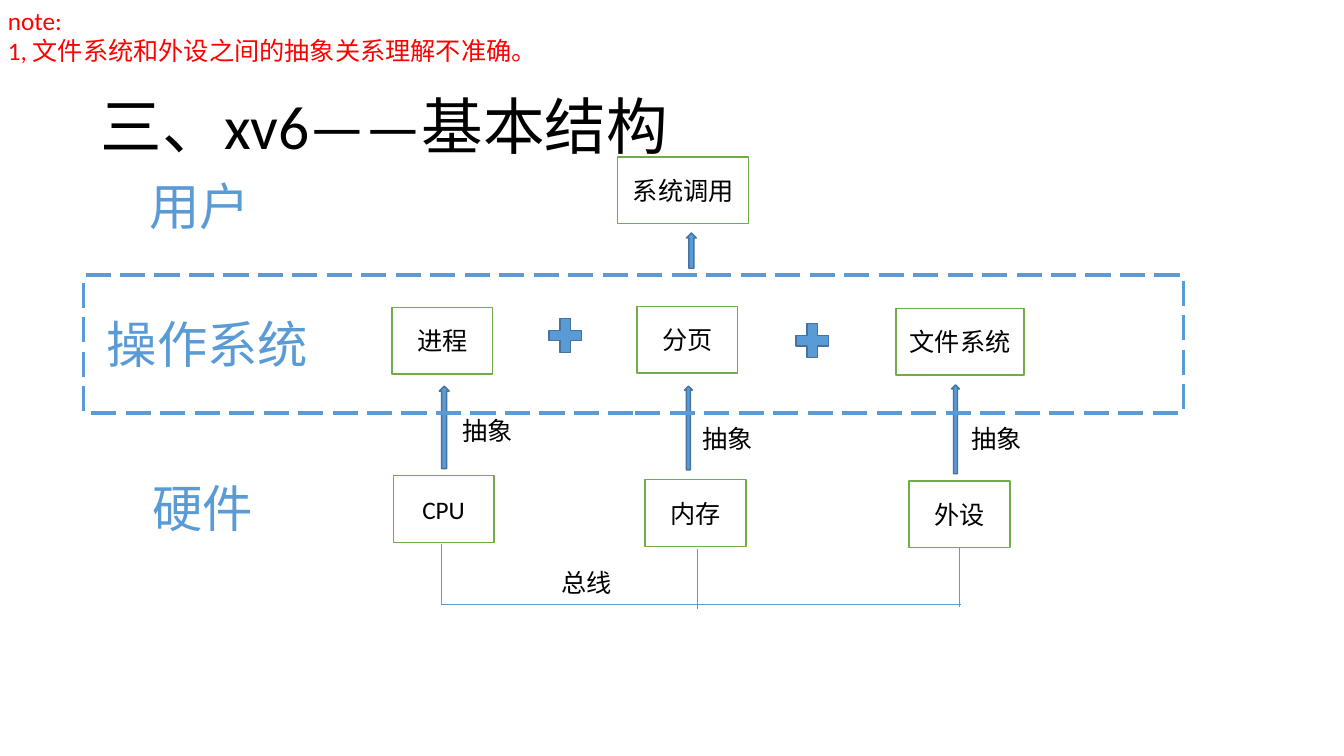
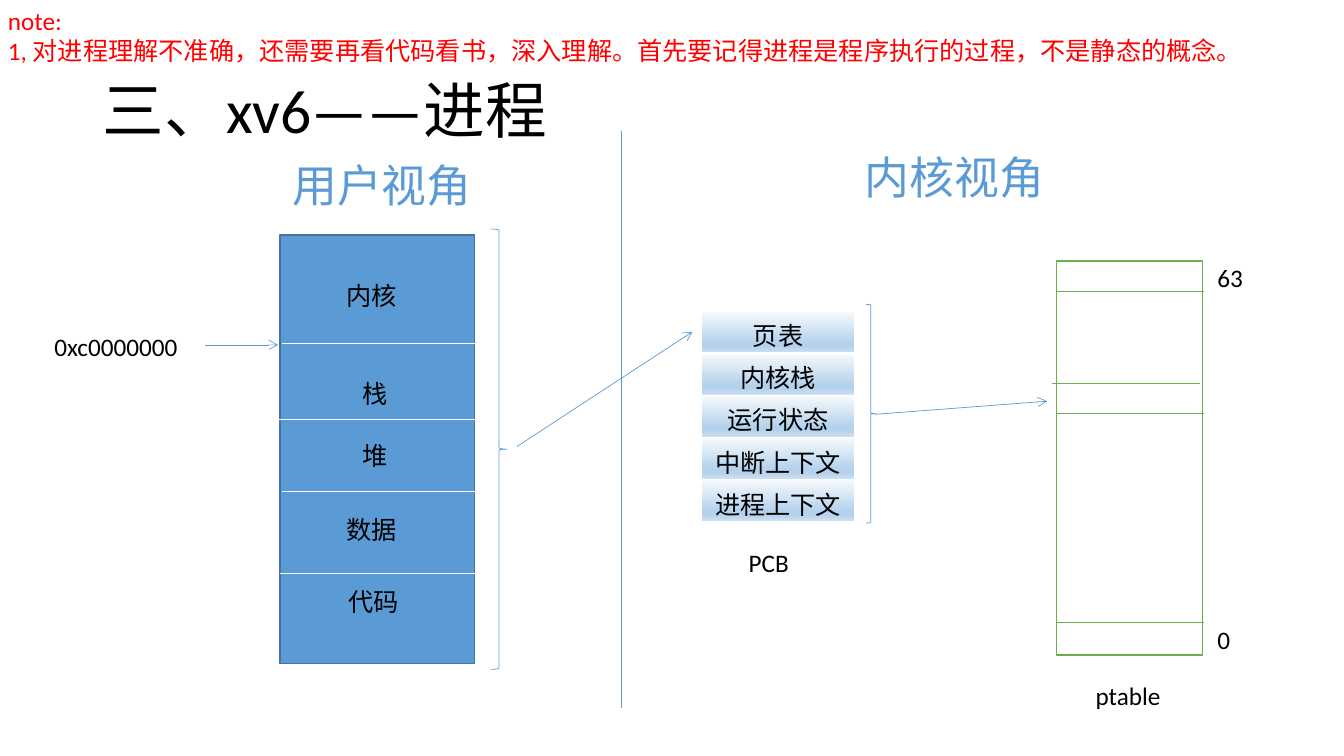
from dataclasses import dataclass

from lxml import etree
from pptx import Presentation
from pptx.dml.color import RGBColor
from pptx.enum.dml import MSO_LINE
from pptx.enum.shapes import MSO_CONNECTOR, MSO_SHAPE
from pptx.enum.text import MSO_ANCHOR, MSO_AUTO_SIZE, PP_ALIGN
from pptx.oxml.ns import qn
from pptx.presentation import Presentation as Deck
from pptx.shapes.autoshape import Shape
from pptx.slide import Slide
from pptx.table import _Cell as Cell
from pptx.text.text import TextFrame
from pptx.util import Cm, Pt

RECT, UP, PLUS, BRACE = (MSO_SHAPE.RECTANGLE, MSO_SHAPE.UP_ARROW,
                         MSO_SHAPE.MATH_PLUS, MSO_SHAPE.RIGHT_BRACE)
STRAIGHT = MSO_CONNECTOR.STRAIGHT
LEFT, CENTER = PP_ALIGN.LEFT, PP_ALIGN.CENTER
MIDDLE, TOP = MSO_ANCHOR.MIDDLE, MSO_ANCHOR.TOP
FIT, FIXED = MSO_AUTO_SIZE.SHAPE_TO_FIT_TEXT, MSO_AUTO_SIZE.NONE
DASH = MSO_LINE.LONG_DASH
TITLE_ONLY = 5


@dataclass(frozen=True)
class Theme:
    font: str = "Calibri"
    black: str = "000000"
    white: str = "FFFFFF"
    red: str = "FF0000"
    blue: str = "5B9BD5"
    navy: str = "43739E"
    green: str = "70AD47"
    fade: tuple[tuple[int, str], ...] = (
        (0, "F7FAFD"), (74, "B5D2EC"), (83, "B5D2EC"), (100, "CEE1F2"))
    title: int = 44
    layer: int = 36
    view: int = 32
    body: int = 18
    thin: float = 0.5
    edge: float = 1
    thick: float = 2.25


@dataclass(frozen=True)
class Area:
    """A place on the slide in centimetres."""
    x: float
    y: float
    w: float
    h: float

    def lengths(self) -> tuple[Cm, Cm, Cm, Cm]:
        return Cm(self.x), Cm(self.y), Cm(self.w), Cm(self.h)


@dataclass(frozen=True)
class Label:
    text: str
    area: Area


@dataclass(frozen=True)
class Link:
    """A line between two points in centimetres."""
    x1: float
    y1: float
    x2: float
    y2: float
    head: bool = False


THEME = Theme()


def rgb(color: str) -> RGBColor:
    return RGBColor.from_string(color)


def put_text(frame: TextFrame, lines: list[str], size: int, color: str,
             align: PP_ALIGN = CENTER, space: float | None = None) -> None:
    for i, line in enumerate(lines):
        para = frame.add_paragraph() if i else frame.paragraphs[0]
        para.alignment = align
        para.line_spacing = space
        run = para.add_run()
        run.text = line
        run.font.name = THEME.font
        run.font.size = Pt(size)
        run.font.color.rgb = rgb(color)


def add_text(slide: Slide, lines: list[str], area: Area, size: int = THEME.body,
             color: str = THEME.black, align: PP_ALIGN = LEFT, wrap: bool = False) -> None:
    frame = slide.shapes.add_textbox(*area.lengths()).text_frame
    frame.word_wrap = wrap
    frame.auto_size = FIT
    put_text(frame, lines, size, color, align)


def add_labels(slide: Slide, labels: list[Label]) -> None:
    for label in labels:
        add_text(slide, [label.text], label.area)


def add_form(slide: Slide, kind: MSO_SHAPE, area: Area, fill: str | None,
             line: str, width: float = THEME.edge) -> Shape:
    form = slide.shapes.add_shape(kind, *area.lengths())
    form.shadow.inherit = False
    if fill:
        form.fill.solid()
        form.fill.fore_color.rgb = rgb(fill)
    else:
        form.fill.background()
    form.line.color.rgb = rgb(line)
    form.line.width = Pt(width)
    return form


def add_box(slide: Slide, label: Label) -> None:
    box = add_form(slide, RECT, label.area, THEME.white, THEME.green)
    box.text_frame.vertical_anchor = MIDDLE
    put_text(box.text_frame, [label.text], THEME.body, THEME.black)


def add_links(slide: Slide, links: list[Link], color: str = THEME.blue) -> None:
    for link in links:
        line = slide.shapes.add_connector(
            STRAIGHT, Cm(link.x1), Cm(link.y1), Cm(link.x2), Cm(link.y2))
        line.line.color.rgb = rgb(color)
        line.line.width = Pt(THEME.thin)
        props = line.element.spPr
        if link.head:
            etree.SubElement(props.find(qn("a:ln")), qn("a:tailEnd"), type="arrow")
        etree.SubElement(props, qn("a:effectLst"))


def paint_cell(cell: Cell, first: bool) -> None:
    """Give a cell white borders and a downward fade."""
    props = cell._tc.get_or_add_tcPr()
    for side in ("L", "R", "T", "B"):
        width = Pt(3 if first and side == "B" else THEME.edge)
        line = etree.SubElement(props, qn(f"a:ln{side}"), w=str(width))
        fill = etree.SubElement(line, qn("a:solidFill"))
        etree.SubElement(fill, qn("a:srgbClr"), val=THEME.white)
    fade = etree.SubElement(props, qn("a:gradFill"), rotWithShape="1")
    stops = etree.SubElement(fade, qn("a:gsLst"))
    for part, color in THEME.fade:
        stop = etree.SubElement(stops, qn("a:gs"), pos=str(part * 1000))
        etree.SubElement(stop, qn("a:srgbClr"), val=color)
    etree.SubElement(fade, qn("a:lin"), ang="5400000", scaled="0")


def add_grid(slide: Slide, rows: list[str], area: Area) -> None:
    grid = slide.shapes.add_table(len(rows), 1, *area.lengths()).table
    grid.first_row = grid.horz_banding = False
    for i, text in enumerate(rows):
        grid.rows[i].height = Cm(area.h / len(rows))
        cell = grid.cell(i, 0)
        cell.vertical_anchor = TOP
        paint_cell(cell, i == 0)
        put_text(cell.text_frame, [text], THEME.body, THEME.black)


def new_slide(deck: Deck, title: str, area: Area, note: str, width: float) -> Slide:
    """Add a slide with its title and the red note at the top."""
    slide = deck.slides.add_slide(deck.slide_layouts[TITLE_ONLY])
    head = slide.shapes.title
    head.left, head.top, head.width, head.height = area.lengths()
    frame = head.text_frame
    frame.auto_size = FIXED
    frame.vertical_anchor = MIDDLE
    put_text(frame, [title], THEME.title, THEME.black, LEFT, 0.9)
    add_text(slide, ["note:", note], Area(-0.05, 0, width, 1.83), color=THEME.red)
    return slide


def draw_layers(deck: Deck) -> None:
    slide = new_slide(deck, "三、xv6——基本结构", Area(2.29, 1.83, 29.21, 2.87),
                      "1, 文件系统和外设之间的抽象关系理解不准确。", 14.05)
    bus = 15.24
    add_links(slide, [
        Link(11.13, bus, 24.23, bus), Link(11.13, bus, 11.13, 13.72),
        Link(17.58, 15.34, 17.58, 13.84), Link(24.18, 15.29, 24.18, 13.79)])
    for text, x, y, w in (
            ("CPU", 9.91, 11.99, 2.54), ("内存", 16.26, 12.09, 2.54),
            ("外设", 22.91, 12.12, 2.54), ("进程", 9.88, 7.75, 2.54),
            ("分页", 16.05, 7.72, 2.54), ("文件系统", 22.58, 7.77, 3.23),
            ("系统调用", 15.57, 3.96, 3.3)):
        add_box(slide, Label(text, Area(x, y, w, 1.68)))
    for area in (Area(11.07, 9.73, 0.25, 2.08), Area(17.25, 9.73, 0.2, 2.11),
                 Area(23.98, 9.7, 0.2, 2.24), Area(17.3, 5.87, 0.25, 0.89)):
        add_form(slide, UP, area, THEME.blue, THEME.navy)
    for x, y in ((13.69, 7.87), (19.91, 8)):
        add_form(slide, PLUS, Area(x, y, 1.12, 1.17), THEME.blue, THEME.navy)
    for text, x, y in (("用户", 1.04, 4.29), ("操作系统", 1.24, 7.77),
                       ("硬件", 1.12, 11.89)):
        add_text(slide, [text], Area(x, y, 7.98, 1.78), THEME.layer, THEME.blue,
                 CENTER, wrap=True)
    add_labels(slide, [Label(text, Area(x, y, 1.78, 1.02)) for text, x, y in (
        ("总线", 13.89, 14.17), ("抽象", 11.4, 10.34),
        ("抽象", 17.45, 10.54), ("抽象", 24.23, 10.54))])
    frame = add_form(slide, RECT, Area(2.11, 6.93, 27.71, 3.48), None,
                     THEME.blue, THEME.thick)
    frame.line.dash_style = DASH


def draw_process(deck: Deck) -> None:
    slide = new_slide(
        deck, "三、xv6——进程", Area(2.34, 1.02, 29.21, 3.68),
        "1, 对进程理解不准确，还需要再看代码看书，深入理解。"
        "首先要记得进程是程序执行的过程，不是静态的概念。", 31.83)
    for text, x, y in (("用户视角", 7.11, 3.86), ("内核视角", 21.54, 3.66)):
        add_text(slide, [text], Area(x, y, 5.03, 1.6), THEME.view, THEME.blue, CENTER)

    add_form(slide, RECT, Area(7.06, 5.92, 4.9, 10.8), THEME.blue, THEME.navy)
    add_links(slide, [Link(x, y, x + 4.95, y) for x, y in (
        (7.11, 8.64), (7.01, 10.57), (7.11, 12.37), (7.06, 14.45))], THEME.white)
    add_labels(slide, [Label(text, Area(x, y, w, 1.02)) for text, x, y, w in (
        ("内核", 8.48, 6.93, 1.78), ("栈", 8.89, 9.4, 1.14),
        ("堆", 8.89, 10.97, 1.14), ("数据", 8.48, 12.83, 1.78),
        ("代码", 8.53, 14.66, 1.78))])

    add_grid(slide, ["页表", "内核栈", "运行状态", "中断上下文", "进程上下文"],
             Area(17.68, 7.85, 3.86, 5.3))
    for area in (Area(12.37, 5.77, 0.41, 11.1), Area(21.82, 7.67, 0.25, 5.51)):
        add_form(slide, BRACE, area, None, THEME.blue, THEME.thin)

    add_form(slide, RECT, Area(26.62, 6.58, 3.68, 9.93), THEME.white, THEME.green)
    add_links(slide, [Link(x, y, x + 3.73, y) for x, y in (
        (26.62, 7.34), (26.52, 9.65), (26.62, 10.41), (26.62, 15.67))], THEME.green)
    add_links(slide, [
        Link(15.65, 3.3, 15.65, 17.83), Link(13.03, 11.25, 17.45, 8.36, True),
        Link(5.16, 8.69, 7.01, 8.69, True), Link(22.05, 10.44, 26.39, 10.11, True)])
    add_labels(slide, [Label(text, Area(x, y, w, 1.07)) for text, x, y, w in (
        ("0xc0000000", 1.12, 8.23, 3.86), ("PCB", 18.62, 13.67, 1.65),
        ("63", 30.43, 6.48, 1.27), ("0", 30.43, 15.6, 0.84),
        ("ptable", 27.36, 17.02, 2.26))])


def main() -> None:
    deck = Presentation()
    deck.slide_width, deck.slide_height = Cm(33.87), Cm(19.05)
    draw_layers(deck)
    draw_process(deck)
    deck.save("out.pptx")


if __name__ == "__main__":
    main()
